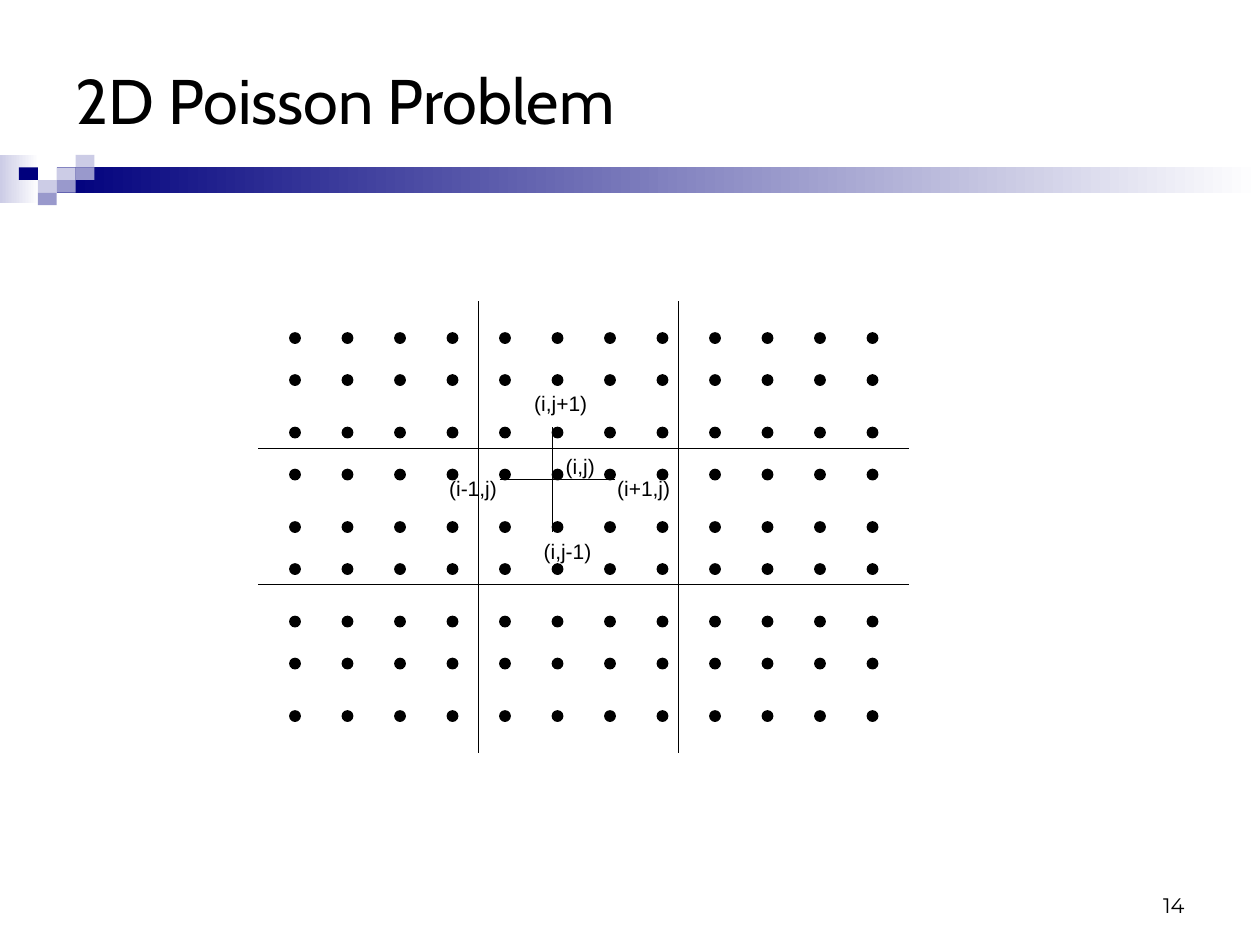
from itertools import product
from lxml import etree
from pptx import Presentation
from pptx import util as u
from pptx.dml.color import RGBColor
from pptx.enum import shapes, text
from pptx.oxml import ns

BLACK = RGBColor(0x00, 0x00, 0x00)
WHITE = RGBColor(0xFF, 0xFF, 0xFF)
NAVY = RGBColor(0x00, 0x00, 0x7D)
MID = RGBColor(0x99, 0x99, 0xCC)
LIGHT = RGBColor(0xCC, 0xCC, 0xE6)

WIDE = u.Inches(10)
HIGH = u.Inches(7.5)
COLS = 24
ROWS = 18


def place(box, x, y, w, h):
    col, row = WIDE / COLS, HIGH / ROWS
    left, top = box[:2]
    return [round(n) for n in ((left + x) * col, (top + y) * row, w * col, h * row)]


def add_form(slide, kind, area, color, fade=False):
    form = slide.shapes.add_shape(kind, *area)
    form.shadow.inherit = False
    form.line.fill.background()
    if fade:
        form.fill.gradient()
        form.fill.gradient_angle = 0
        for stop, tint in zip(form.fill.gradient_stops, (color, WHITE)):
            stop.color.rgb = tint
    else:
        form.fill.solid()
        form.fill.fore_color.rgb = color
    return form


def add_line(slide, box, x, y, w, h):
    left, top, width, height = place(box, x, y, w, h)
    line = slide.shapes.add_connector(
        shapes.MSO_CONNECTOR.STRAIGHT, left, top, left + width, top + height)
    line.line.color.rgb = BLACK
    line.line.width = u.Pt(0.75)
    etree.SubElement(line._element.spPr, ns.qn("a:effectLst"))


def add_text(slide, area, words, font, size, wrap=True,
             anchor=text.MSO_ANCHOR.TOP, align=text.PP_ALIGN.LEFT):
    frame = slide.shapes.add_textbox(*area).text_frame
    frame.word_wrap = wrap
    frame.vertical_anchor = anchor
    para = frame.paragraphs[0]
    para.alignment = align
    run = para.add_run()
    run.text = words
    run.font.name = font
    run.font.size = u.Pt(size)
    run.font.color.rgb = BLACK


def draw_band(slide, box):
    rect = shapes.MSO_SHAPE.RECTANGLE
    tile_w, tile_h = 0.36, 0.24
    width, height = box[2:]
    add_form(slide, rect, place(box, 0, 0, 0.74, height), LIGHT, True)
    start = 3 * tile_w
    add_form(slide, rect, place(box, start, tile_h, width - start, 2 * tile_h),
             NAVY, True)
    tiles = {
        LIGHT: [(3, 1), (4, 0), (2, 2)],
        MID: [(4, 1), (3, 2), (2, 3)],
        NAVY: [(1, 1)],
    }
    for color, spots in tiles.items():
        for col, row in spots:
            add_form(slide, rect,
                     place(box, col * tile_w, row * tile_h, tile_w, tile_h), color)


def draw_title(slide, box):
    add_text(slide, place(box, 0, 0, *box[2:]), "2D Poisson Problem", "Cabin", 36,
             anchor=text.MSO_ANCHOR.MIDDLE)


def draw_mesh(slide, box):
    width, height = box[2:]
    for row, col in product(range(9), range(12)):
        pair, odd = divmod(row, 2)
        area = place(box, 0.6 + col, 0.6 + 1.8 * pair + 0.8 * odd, 0.2, 0.2)
        dot = add_form(slide, shapes.MSO_SHAPE.OVAL, area, BLACK)
        dot.line.color.rgb = BLACK
        dot.line.width = u.Pt(0.75)

    add_line(slide, box, 4.6, 3.4, 2.2, 0)
    add_line(slide, box, 5.6, 2.4, 0, 2)

    labels = [
        ("(i,j)", 5.62, 2.78, 1.03),
        ("(i+1,j)", 6.6, 3.2, 1.5),
        ("(i-1,j)", 3.4, 3.2, 1.4),
        ("(i,j-1)", 5.2, 4.4, 1.4),
        ("(i,j+1)", 5.02, 1.58, 1.5),
    ]
    for words, x, y, w in labels:
        add_text(slide, place(box, x, y, w, 0.72), words, "Arial", 12, wrap=False)

    for y in (2.8, 5.4):
        add_line(slide, box, 0, y, width, 0)
    for x in (4.2, 8):
        add_line(slide, box, x, 0, 0, height)


def draw_number(slide, box):
    add_text(slide, place(box, 0, 0, *box[2:]), "14", "Montserrat", 12,
             anchor=text.MSO_ANCHOR.BOTTOM, align=text.PP_ALIGN.RIGHT)


def main():
    deck = Presentation()
    deck.slide_width, deck.slide_height = WIDE, HIGH
    slide = deck.slides.add_slide(deck.slide_layouts[6])
    draw_band(slide, (0, 2.95, COLS, 0.92))
    draw_title(slide, (1.2, 1, 20.4, 1.8))
    draw_mesh(slide, (4.92, 5.74, 12.4, 8.6))
    draw_number(slide, (17.2, 16.4, 5.6, 1.2))
    deck.save("out.pptx")


if __name__ == "__main__":
    main()
